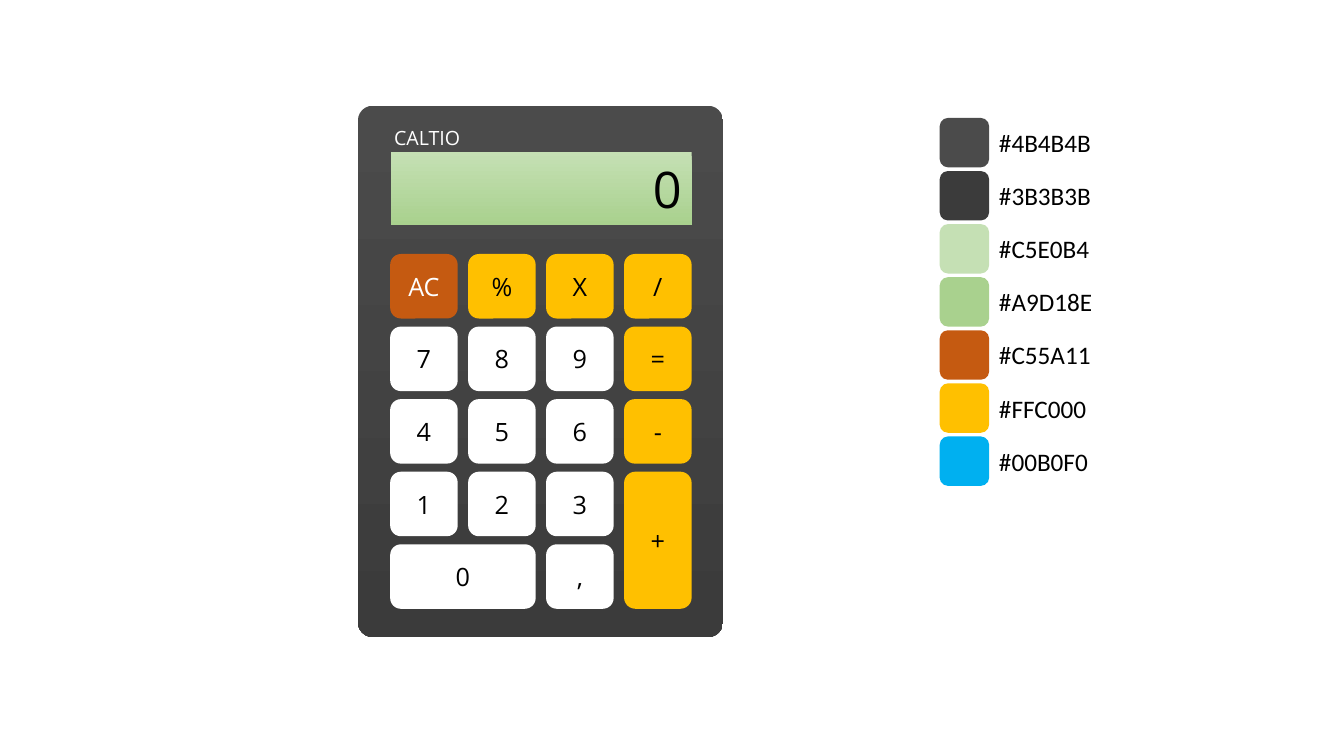
from dataclasses import dataclass

from pptx import Presentation
from pptx.dml.color import RGBColor
from pptx.enum.shapes import MSO_SHAPE as Preset
from pptx.enum.text import MSO_ANCHOR as Anchor, MSO_AUTO_SIZE as AutoSize, PP_ALIGN as Align
from pptx.shapes.autoshape import Shape
from pptx.util import Inches, Pt


@dataclass(frozen=True)
class Theme:
    body_top: str = "4B4B4B"
    body_bottom: str = "3B3B3B"
    screen_top: str = "C5E0B4"
    screen_bottom: str = "A9D18E"
    clear: str = "C55A11"
    operator: str = "FFC000"
    accent: str = "00B0F0"
    digit: str = "FFFFFF"
    dark_text: str = "000000"
    light_text: str = "FFFFFF"
    key_font: str = "Open Sans"
    label_font: str = "Calibri"
    brand_size: int = 14
    key_size: int = 18
    screen_size: int = 36


THEME = Theme()


@dataclass(frozen=True)
class Box:
    left: float
    top: float
    width: float
    height: float

    def lengths(self) -> tuple[Inches, ...]:
        return tuple(Inches(v) for v in (self.left, self.top, self.width, self.height))


@dataclass(frozen=True)
class Key:
    label: str
    column: int
    row: int
    fill: str = THEME.digit
    ink: str = THEME.dark_text
    columns: int = 1
    rows: int = 1


KEY_LEFT, KEY_TOP = 3.87, 2.52
KEY_WIDTH, KEY_HEIGHT = 0.67, 0.64
COLUMN_STEP, ROW_STEP = 2.32 / 3, 0.72

SWATCH_LEFT, SWATCH_TOP, SWATCH_SIZE = 9.32, 1.17, 0.49
SWATCH_STEP = 3.16 / 6
CODE_HEIGHT = 0.4

PALETTE = (
    THEME.body_top, THEME.body_bottom, THEME.screen_top, THEME.screen_bottom,
    THEME.clear, THEME.operator, THEME.accent,
)

KEYS = [
    Key("AC", 0, 0, THEME.clear, THEME.light_text),
    *(Key(label, column, 0, THEME.operator) for column, label in enumerate("%X/", 1)),
    *(Key(label, 3, row, THEME.operator) for row, label in enumerate("=-", 1)),
    *(Key(label, i % 3, 1 + i // 3) for i, label in enumerate("789456123")),
    Key(",", 2, 4),
    Key("+", 3, 3, THEME.operator, rows=2),
    Key("0", 0, 4, columns=2),
]

prs = Presentation()
prs.slide_width, prs.slide_height = Inches(13.33), Inches(7.5)
slide = prs.slides.add_slide(prs.slide_layouts[6])


def write(holder: Shape, text: str, *, size: int = THEME.key_size,
          font: str = THEME.key_font, color: str = THEME.dark_text,
          align: Align = Align.CENTER, anchor: Anchor = Anchor.MIDDLE,
          autosize: AutoSize = AutoSize.NONE) -> None:
    frame = holder.text_frame
    frame.word_wrap = True
    frame.auto_size = autosize
    frame.vertical_anchor = anchor
    paragraph = frame.paragraphs[0]
    paragraph.alignment = align
    run = paragraph.add_run()
    run.text = text
    run.font.name = font
    run.font.size = Pt(size)
    run.font.color.rgb = RGBColor.from_string(color)


def add_panel(box: Box, *colors: str, preset: Preset = Preset.ROUNDED_RECTANGLE) -> Shape:
    panel = slide.shapes.add_shape(preset, *box.lengths())
    panel.shadow.inherit = False
    panel.line.fill.background()
    if len(colors) == 1:
        panel.fill.solid()
        panel.fill.fore_color.rgb = RGBColor.from_string(colors[0])
    else:
        panel.fill.gradient()
        panel.fill.gradient_angle = 270
        for stop, color in zip(panel.fill.gradient_stops, colors):
            stop.color.rgb = RGBColor.from_string(color)
    return panel


def add_label(box: Box, text: str, **text_format) -> None:
    label = slide.shapes.add_textbox(*box.lengths())
    write(label, text, align=Align.LEFT, anchor=Anchor.TOP,
          autosize=AutoSize.SHAPE_TO_FIT_TEXT, **text_format)


def add_swatch(index: int, color: str) -> None:
    top = SWATCH_TOP + index * SWATCH_STEP
    add_panel(Box(SWATCH_LEFT, top, SWATCH_SIZE, SWATCH_SIZE), color)
    code_top = top + (SWATCH_SIZE - CODE_HEIGHT) / 2
    add_label(Box(SWATCH_LEFT + SWATCH_SIZE, code_top, 1.36, CODE_HEIGHT),
              f"#{color}", font=THEME.label_font)


def add_key(key: Key) -> None:
    box = Box(
        KEY_LEFT + key.column * COLUMN_STEP,
        KEY_TOP + key.row * ROW_STEP,
        KEY_WIDTH + (key.columns - 1) * COLUMN_STEP,
        KEY_HEIGHT + (key.rows - 1) * ROW_STEP,
    )
    write(add_panel(box, key.fill), key.label, color=key.ink)


for index, color in enumerate(PALETTE):
    add_swatch(index, color)

body = add_panel(Box(3.55, 1.05, 3.62, 5.27), THEME.body_top, THEME.body_bottom)
body.adjustments[0] = 0.04

screen = add_panel(Box(3.88, 1.51, 2.98, 0.72), THEME.screen_top, THEME.screen_bottom,
                   preset=Preset.RECTANGLE)
write(screen, "0", size=THEME.screen_size, align=Align.RIGHT)

add_label(Box(3.81, 1.2, 1.2, 0.34), "CALTIO", size=THEME.brand_size,
          color=THEME.light_text)

for key in KEYS:
    add_key(key)

prs.save("out.pptx")
